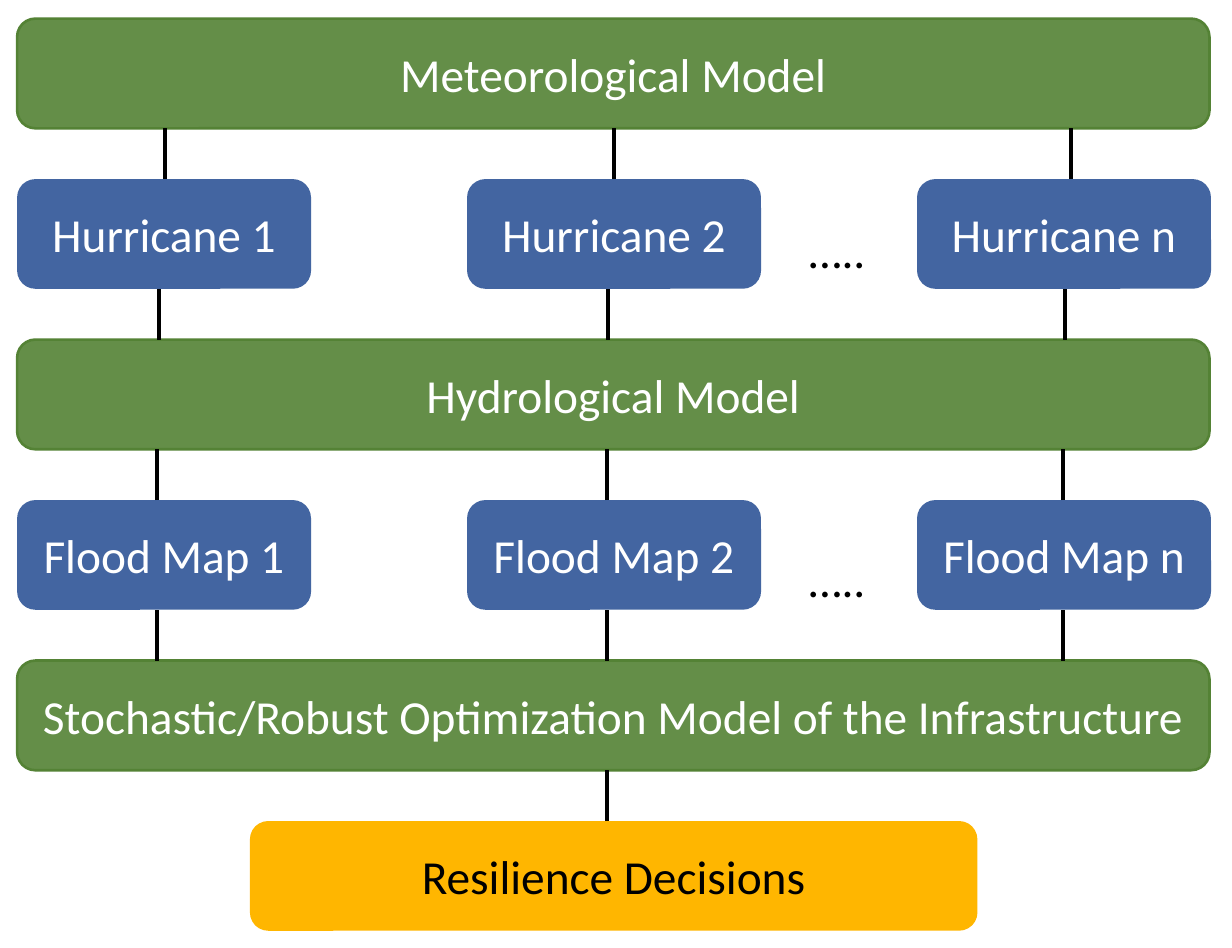
from dataclasses import dataclass
from typing import Optional

import pptx
import pptx.dml.color
import pptx.enum.shapes
import pptx.enum.text
import pptx.oxml.ns
import pptx.util
from lxml import etree
from pptx.util import Cm


@dataclass(frozen=True)
class Theme:
    font: str = "Calibri"
    size: float = 18
    model: str = "548235"
    scenario: str = "2F5597"
    decision: str = "FFB600"
    light: str = "FFFFFF"
    dark: str = "000000"
    outline_width: float = 1
    link_width: float = 1.5


@dataclass(frozen=True)
class Stage:
    text: str
    row: int
    left: float
    width: float
    fill: str
    color: str
    opacity: int = 100
    outline: Optional[str] = None


THEME = Theme()

# Layout grid, in centimetres
LEFT, TOP = 0.23, 0.25
FULL_WIDTH, BOX_WIDTH, BOX_HEIGHT = 15.98, 3.94, 1.47
ROW_PITCH, COLUMN_PITCH = 2.15, 6.03
LINK_COLUMNS = (2.21, 8.23, 14.35)
LINK_SHIFTS = (0, -0.08, -0.1, -0.1)


def rgb(color: str) -> pptx.dml.color.RGBColor:
    return pptx.dml.color.RGBColor.from_string(color)


def row_top(row: int) -> float:
    return TOP + row * ROW_PITCH


def write_text(frame, text: str, *, color: str, align=None, anchor=None) -> None:
    frame.word_wrap = False
    if anchor is not None:
        frame.vertical_anchor = anchor
    paragraph = frame.paragraphs[0]
    paragraph.alignment = align
    run = paragraph.add_run()
    run.text = text
    run.font.name = THEME.font
    run.font.size = pptx.util.Pt(THEME.size)
    run.font.color.rgb = rgb(color)


def draw_stage(slide, stage: Stage) -> None:
    box = slide.shapes.add_shape(
        pptx.enum.shapes.MSO_SHAPE.ROUNDED_RECTANGLE,
        Cm(stage.left), Cm(row_top(stage.row)), Cm(stage.width), Cm(BOX_HEIGHT))
    box.shadow.inherit = False
    box.fill.solid()
    box.fill.fore_color.rgb = rgb(stage.fill)
    if stage.opacity < 100:
        tint = box.fill._xPr.find(".//" + pptx.oxml.ns.qn("a:srgbClr"))
        alpha = etree.SubElement(tint, pptx.oxml.ns.qn("a:alpha"))
        alpha.set("val", str(stage.opacity * 1000))
    if stage.outline:
        box.line.color.rgb = rgb(stage.outline)
        box.line.width = pptx.util.Pt(THEME.outline_width)
    else:
        box.line.fill.background()
    write_text(box.text_frame, stage.text, color=stage.color,
               align=pptx.enum.text.PP_ALIGN.CENTER,
               anchor=pptx.enum.text.MSO_ANCHOR.MIDDLE)


def draw_link(slide, x: float, row: int) -> None:
    """Join a row to the next one."""
    link = slide.shapes.add_connector(
        pptx.enum.shapes.MSO_CONNECTOR.STRAIGHT,
        Cm(x), Cm(row_top(row + 1)), Cm(x), Cm(row_top(row) + BOX_HEIGHT))
    link.line.color.rgb = rgb(THEME.dark)
    link.line.width = pptx.util.Pt(THEME.link_width)
    etree.SubElement(link._element.spPr, pptx.oxml.ns.qn("a:effectLst"))


def draw_ellipsis(slide, top: float) -> None:
    ellipsis = slide.shapes.add_textbox(Cm(10.59), Cm(top), Cm(1.27), Cm(1.02))
    write_text(ellipsis.text_frame, "…..", color=THEME.dark)


def model(text: str, row: int) -> Stage:
    return Stage(text, row, LEFT, FULL_WIDTH, THEME.model, THEME.light, 90, THEME.model)


def scenarios(name: str, row: int) -> list[Stage]:
    return [Stage(f"{name} {index}", row, LEFT + column * COLUMN_PITCH, BOX_WIDTH,
                  THEME.scenario, THEME.light, 90)
            for column, index in enumerate("12n")]


presentation = pptx.Presentation()
presentation.slide_width = pptx.util.Inches(6.5)
presentation.slide_height = pptx.util.Inches(5)
flow = presentation.slides.add_slide(presentation.slide_layouts[6])

# Models, scenarios and the final decision
stages = [
    model("Meteorological Model", 0),
    *scenarios("Hurricane", 1),
    model("Hydrological Model", 2),
    *scenarios("Flood Map", 3),
    model("Stochastic/Robust Optimization Model of the Infrastructure", 4),
    Stage("Resilience Decisions", 5, 3.35, 9.75, THEME.decision, THEME.dark),
]
for stage in stages:
    draw_stage(flow, stage)

# Links between rows
for column_x in LINK_COLUMNS:
    for row, shift in enumerate(LINK_SHIFTS):
        draw_link(flow, column_x + shift, row)
draw_link(flow, LINK_COLUMNS[1] + LINK_SHIFTS[-1], 4)

# Omitted scenarios
for ellipsis_top in (2.84, 7.24):
    draw_ellipsis(flow, ellipsis_top)

presentation.save("out.pptx")
